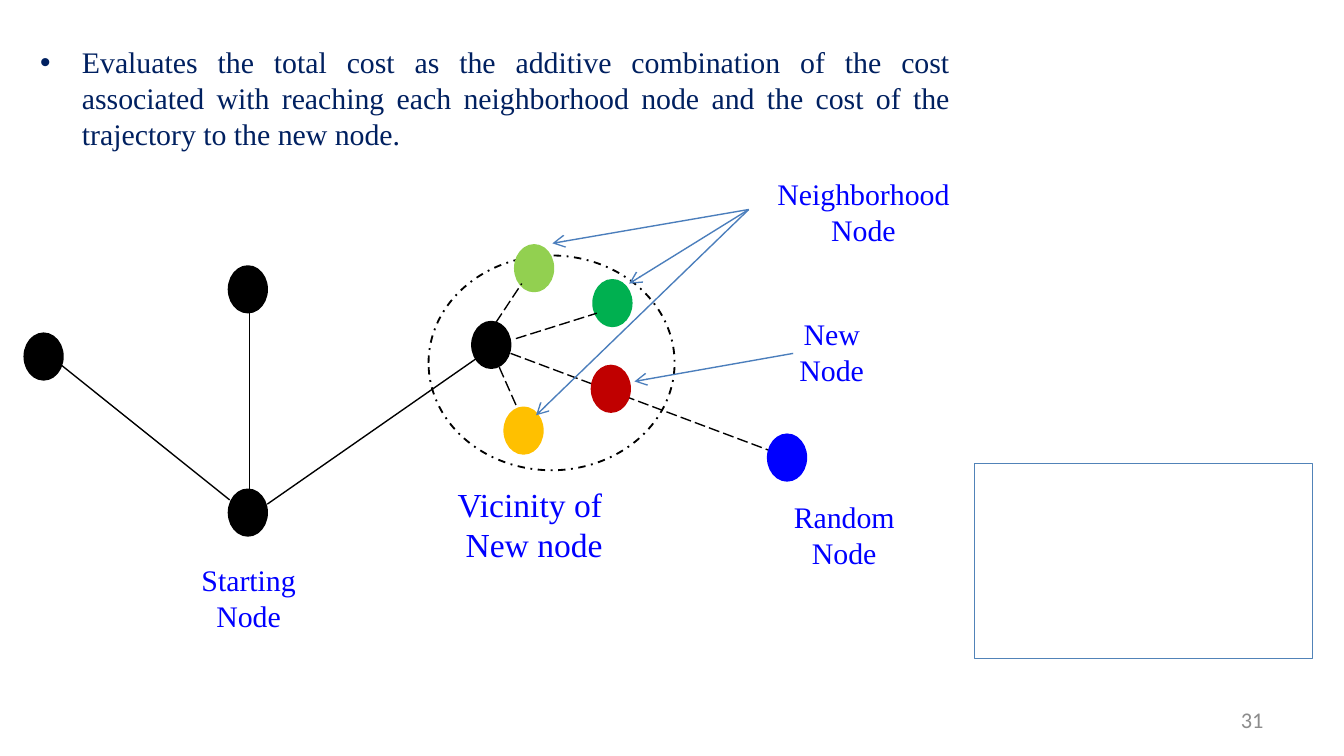
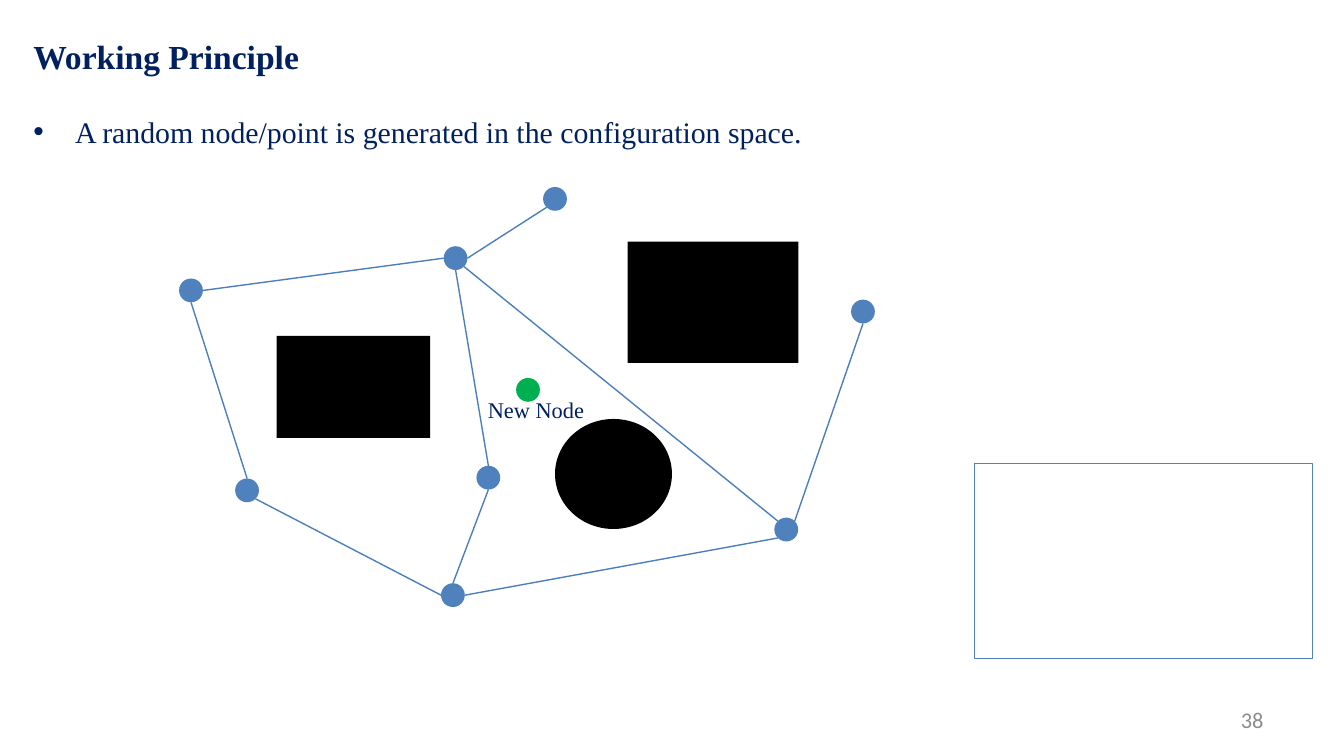
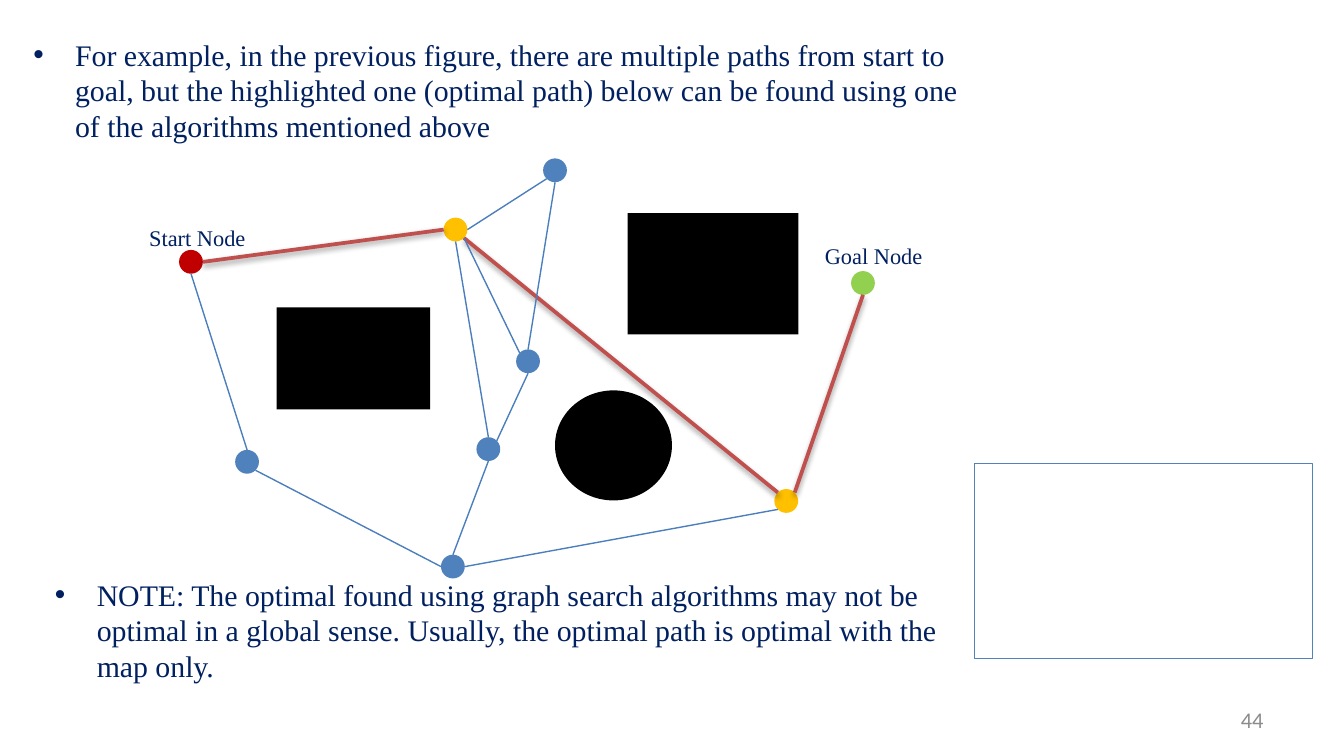
from math import cos, radians, sin

from pptx import Presentation
from pptx.dml.color import RGBColor
from pptx.enum.dml import MSO_LINE_DASH_STYLE as Dash
from pptx.enum.shapes import MSO_CONNECTOR as Connector, MSO_SHAPE as Preset
from pptx.enum.text import MSO_ANCHOR as Anchor, PP_ALIGN as Align
from pptx.oxml.ns import qn
from pptx.oxml.xmlchemy import OxmlElement
from pptx.util import Cm, Pt

BLACK = RGBColor(0x00, 0x00, 0x00)
WHITE = RGBColor(0xFF, 0xFF, 0xFF)
NAVY = RGBColor(0x00, 0x20, 0x60)
BLUE = RGBColor(0x00, 0x00, 0xFF)
STEEL = RGBColor(0x4F, 0x81, 0xBD)
EDGE_BLUE = RGBColor(0x4B, 0x7E, 0xBC)
PANEL_BLUE = RGBColor(0x51, 0x83, 0xB8)
GRAY = RGBColor(0x8C, 0x8C, 0x8C)
RED = RGBColor(0xC0, 0x00, 0x00)
PATH_RED = RGBColor(0xC0, 0x50, 0x4D)
GREEN = RGBColor(0x00, 0xB0, 0x50)
LIME = RGBColor(0x92, 0xD0, 0x50)
AMBER = RGBColor(0xFF, 0xC0, 0x00)

# Roadmap: node centres, obstacles and edges (node, side, node, side), in cm
NODE_SIZE = 0.45
ROADMAP_NODES = {
    "start": (3.61, 5.49), "hub": (8.61, 4.88), "left": (4.67, 9.27),
    "new": (9.98, 7.37), "right": (14.86, 10.01), "goal": (16.31, 5.89),
    "top": (10.49, 3.76), "bottom": (8.56, 11.25), "middle": (9.23, 9.03),
}
OBSTACLES = [
    (Preset.RECTANGLE, 5.23, 6.35, 2.9, 1.93),
    (Preset.OVAL, 10.49, 7.92, 2.21, 2.08),
    (Preset.RECTANGLE, 11.86, 4.57, 3.23, 2.29),
]
ROADMAP_EDGES = [
    ("start", "S", "left", "N"), ("start", "E", "hub", "W"),
    ("hub", "E", "top", "SW"), ("hub", "SE", "right", "NW"),
    ("right", "NE", "goal", "S"), ("left", "SE", "bottom", "W"),
    ("bottom", "N", "middle", "S"), ("bottom", "E", "right", "SW"),
    ("middle", "N", "hub", "S"),
]
NEW_NODE_EDGES = [
    ("new", "NW", "hub", "SE"), ("middle", "NE", "new", "S"),
    ("top", "S", "new", "N"),
]
SIDE_ANGLES = {side: 45 * step for step, side in
               enumerate(("E", "SE", "S", "SW", "W", "NW", "N", "NE"))}


class Deck:
    """Holds the shared style and the slide being drawn."""

    serif = "Times New Roman"
    sans = "Calibri"

    def __init__(self):
        self.presentation = Presentation()
        self.presentation.slide_width = Cm(25.4)
        self.presentation.slide_height = Cm(14.29)
        self.slide = None

    def new_slide(self, number):
        layout = self.presentation.slide_layouts[6]
        self.slide = self.presentation.slides.add_slide(layout)
        self.shape(Preset.RECTANGLE, 18.42, 8.76, 6.38, 3.68,
                   line=PANEL_BLUE, width=0.25)
        frame = self.text_box(18.21, 13.23, 5.92, 0.76)
        frame.vertical_anchor = Anchor.MIDDLE
        self.paragraph(frame, number, 12, GRAY, Align.RIGHT, font=self.sans)

    def shape(self, preset, left, top, width_cm, height_cm,
              fill=None, line=None, width=1, dash=None):
        shape = self.slide.shapes.add_shape(
            preset, Cm(left), Cm(top), Cm(width_cm), Cm(height_cm))
        shape.shadow.inherit = False
        if fill is None:
            shape.fill.background()
        else:
            shape.fill.solid()
            shape.fill.fore_color.rgb = fill
        if line is None:
            shape.line.fill.background()
        else:
            shape.line.color.rgb = line
            shape.line.width = Pt(width)
            if dash:
                shape.line.dash_style = dash

    def line(self, start, end, color=BLACK, width=0.75, dash=None,
             arrow=False, shadow=False):
        connector = self.slide.shapes.add_connector(
            Connector.STRAIGHT, *(Cm(value) for value in (*start, *end)))
        connector.line.color.rgb = color
        connector.line.width = Pt(width)
        if dash:
            connector.line.dash_style = dash
        properties = connector.element.spPr
        if arrow:
            head = OxmlElement("a:tailEnd")
            head.set("type", "arrow")
            properties.find(qn("a:ln")).append(head)
        effects = OxmlElement("a:effectLst")
        properties.append(effects)
        if shadow:
            self.add_shadow(effects)

    @staticmethod
    def add_shadow(effects):
        shadow = OxmlElement("a:outerShdw")
        for name, value in (("blurRad", Pt(3.1)), ("dist", Pt(1.6)),
                            ("dir", 90 * 60000), ("rotWithShape", 0)):
            shadow.set(name, str(value))
        color = OxmlElement("a:srgbClr")
        color.set("val", str(BLACK))
        alpha = OxmlElement("a:alpha")
        alpha.set("val", "38000")
        color.append(alpha)
        shadow.append(color)
        effects.append(shadow)

    def text_box(self, left, top, width, height, wrap=True):
        box = self.slide.shapes.add_textbox(
            Cm(left), Cm(top), Cm(width), Cm(height))
        box.text_frame.word_wrap = wrap
        return box.text_frame

    def paragraph(self, frame, text, size=16, color=NAVY, align=Align.LEFT,
                  bold=False, bullet=False, before=0, font=serif):
        paragraph = frame.paragraphs[0]
        if paragraph.runs:
            paragraph = frame.add_paragraph()
        paragraph.alignment = align
        paragraph.space_before = Pt(before)
        run = paragraph.add_run()
        run.text = text
        run.font.name = font
        run.font.size = Pt(size)
        run.font.bold = bold
        run.font.color.rgb = color
        if bullet:
            self.add_bullet(paragraph)

    @staticmethod
    def add_bullet(paragraph):
        properties = paragraph._p.get_or_add_pPr()
        properties.set("marL", str(Cm(0.79)))
        properties.set("indent", str(Cm(-0.79)))
        for tag, name, value in (("a:buFont", "typeface", "Arial"),
                                 ("a:buChar", "char", "•")):
            element = OxmlElement(tag)
            element.set(name, value)
            properties.append(element)

    def label(self, left, top, width, height, *lines, size=16, color=BLUE,
              align=Align.CENTER, wrap=True):
        frame = self.text_box(left, top, width, height, wrap)
        for text in lines:
            self.paragraph(frame, text, size, color, align)

    def node_label(self, left, top, text):
        self.label(left, top, 2.41, 0.76, text, size=12, color=NAVY,
                   align=Align.LEFT)

    def roadmap(self, edges, colors, shift=0, highlighted=()):
        """Draw obstacles, nodes and edges, moved down by shift."""
        for preset, left, top, width, height in OBSTACLES:
            self.shape(preset, left, top + shift, width, height, BLACK)
        radius = NODE_SIZE / 2
        for name, (x, y) in ROADMAP_NODES.items():
            self.shape(Preset.OVAL, x - radius, y + shift - radius,
                       NODE_SIZE, NODE_SIZE, colors.get(name, STEEL))

        def site(name, side):
            x, y = ROADMAP_NODES[name]
            angle = radians(SIDE_ANGLES[side])
            return x + radius * cos(angle), y + shift + radius * sin(angle)

        for first, first_side, second, second_side in edges:
            ends = site(first, first_side), site(second, second_side)
            if (first, second) in highlighted:
                self.line(*ends, PATH_RED, 2, shadow=True)
            else:
                self.line(*ends, EDGE_BLUE)


def build_cost_slide(deck):
    deck.new_slide("31")
    frame = deck.text_box(0.51, 0.71, 17.7, 2.31)
    deck.paragraph(
        frame, "Evaluates the total cost as the additive combination of the "
        "cost associated with reaching each neighborhood node and the cost of "
        "the trajectory to the new node.", align=Align.JUSTIFY, bullet=True)

    # Vicinity, tree branches and the line to the random node
    deck.shape(Preset.OVAL, 8.1, 4.83, 4.65, 4.06, WHITE, BLACK,
               dash=Dash.DASH_DOT)
    for start, end in (((4.72, 9.27), (4.72, 5.87)),
                       ((5.05, 9.53), (9.07, 6.73)),
                       ((4.34, 9.45), (1.17, 6.91))):
        deck.line(start, end)
    deck.line((9.65, 6.68), (14.53, 8.51), dash=Dash.LONG_DASH)

    # Nodes
    for left, top, color in (
            (8.94, 6.1, BLACK), (14.53, 8.23, BLUE), (11.2, 6.93, RED),
            (4.34, 9.27, BLACK), (4.34, 5.05, BLACK), (0.48, 6.32, BLACK),
            (9.75, 4.65, LIME), (11.23, 5.31, GREEN), (9.55, 7.72, AMBER)):
        deck.shape(Preset.FLOWCHART_CONNECTOR, left, top, 0.69, 0.84,
                   color, color, 2)

    # Candidate links to the neighbours
    for start, end in (((9.37, 6.1), (9.86, 5.36)),
                       ((9.75, 6.4), (11.28, 5.92)),
                       ((9.32, 6.68), (9.78, 7.72))):
        deck.line(start, end, dash=Dash.LONG_DASH)

    # Labels and their arrows
    neighbor_origin = (14.15, 3.96)
    for start, end in ((neighbor_origin, (10.44, 4.6)),
                       (neighbor_origin, (11.89, 5.36)),
                       (neighbor_origin, (10.13, 7.85)),
                       ((14.99, 6.68), (11.99, 7.21))):
        deck.line(start, end, EDGE_BLUE, arrow=True)
    deck.label(3.53, 10.49, 2.34, 1.63, "Starting Node")
    deck.label(14.66, 9.3, 2.59, 1.63, "Random Node")
    deck.label(8.38, 9.02, 3.43, 1.8, "Vicinity of ", "New node",
               size=18, wrap=False)
    deck.label(14.55, 5.84, 2.34, 1.63, "New Node")
    deck.label(14.15, 3.2, 4.34, 1.63, "Neighborhood Node")


def build_principle_slide(deck):
    deck.new_slide("38")
    frame = deck.text_box(0.38, 0.56, 18.06, 3.07)
    deck.paragraph(frame, "Working Principle", 18, bold=True)
    deck.paragraph(
        frame, "A random node/point is generated in the configuration space.",
        bullet=True, before=20)
    deck.roadmap(ROADMAP_EDGES, {"new": GREEN})
    deck.node_label(8.97, 7.37, "New Node")


def build_optimal_slide(deck):
    deck.new_slide("44")
    frame = deck.text_box(0.38, 0.56, 18.06, 4.37)
    deck.paragraph(
        frame, "For example, in the previous figure, there are multiple paths "
        "from start to goal, but the highlighted one (optimal path) below can "
        "be found using one of the algorithms mentioned above", bullet=True)
    deck.roadmap(
        ROADMAP_EDGES + NEW_NODE_EDGES,
        {"start": RED, "hub": AMBER, "right": AMBER, "goal": LIME},
        shift=-0.54,
        highlighted=(("start", "hub"), ("hub", "right"), ("right", "goal")))
    deck.node_label(2.57, 4.11, "Start Node")
    deck.node_label(15.34, 4.45, "Goal Node")
    frame = deck.text_box(0.79, 10.77, 18.06, 3.4)
    deck.paragraph(
        frame, "NOTE: The optimal found using graph search algorithms may not "
        "be optimal in a global sense. Usually, the optimal path is optimal "
        "with the map only.", bullet=True)


def main():
    deck = Deck()
    build_cost_slide(deck)
    build_principle_slide(deck)
    build_optimal_slide(deck)
    deck.presentation.save("out.pptx")


if __name__ == "__main__":
    main()
